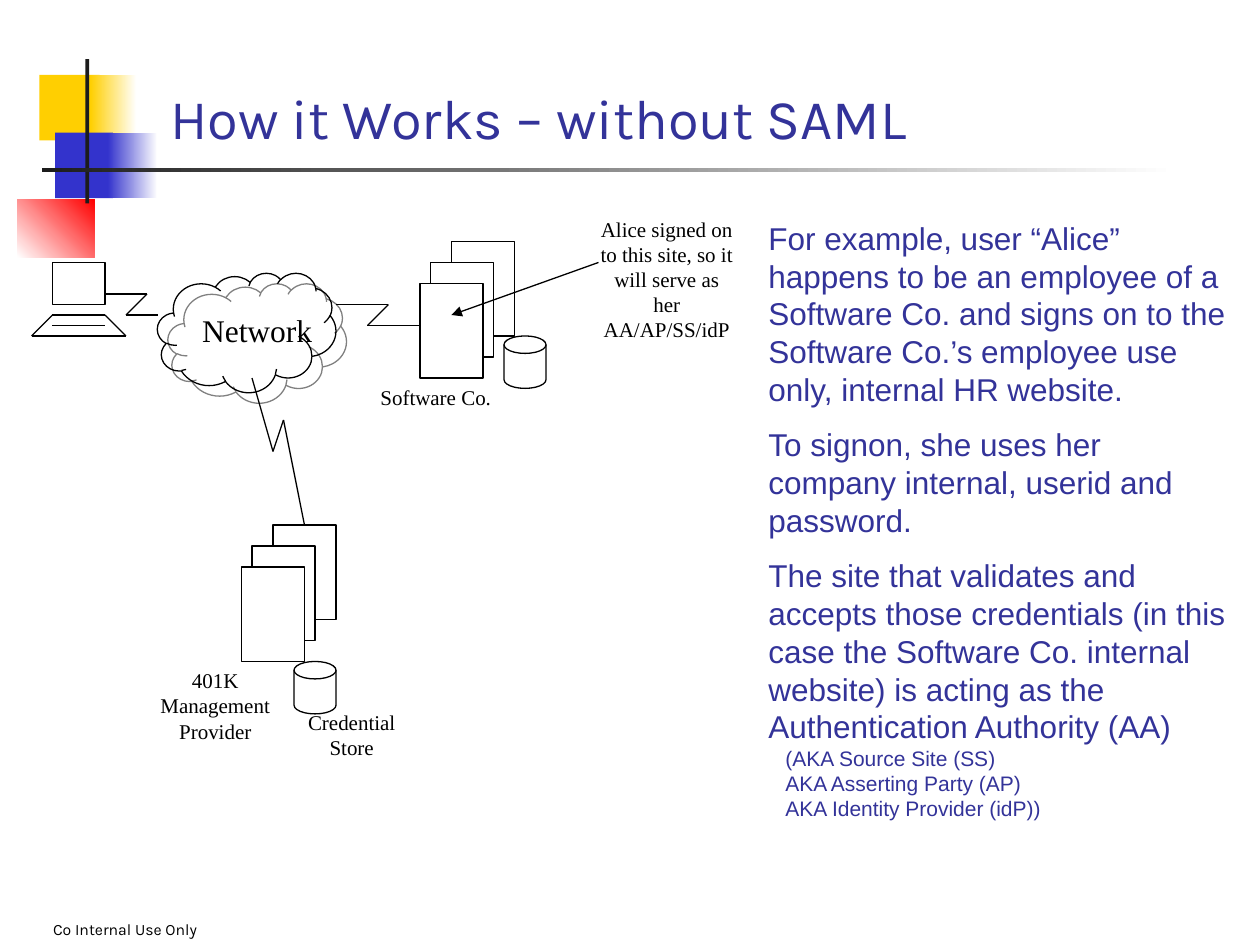
from itertools import pairwise

from lxml.etree import SubElement
from pptx import Presentation
from pptx.dml.color import RGBColor
from pptx.enum.shapes import MSO_CONNECTOR, MSO_SHAPE as Preset
from pptx.enum.text import MSO_ANCHOR as Anchor, MSO_AUTO_SIZE, PP_ALIGN as Align
from pptx.oxml.ns import qn
from pptx.util import Emu, Pt

PX = 9525  # 96 px to the inch
BLACK, WHITE, NAVY, DARK = "000000", "FFFFFF", "333399", "1C1C1C"
YELLOW, BLUE, RED, GRAY = "FFCF01", "3333CC", "FF0000", "808080"
SERIF, SANS, DISPLAY = "Times New Roman", "Arial", "Karla"

TITLE = "How it Works – without SAML"
FOOTER = "Co Internal Use Only"
STORY = [
    "For example, user “Alice” happens to be an employee of a Software Co. "
    "and signs on to the Software Co.’s employee use only, internal HR website.",
    "To signon, she uses her company internal, userid and password.",
    "The site that validates and accepts those credentials (in this case the "
    "Software Co. internal website) is acting as the Authentication Authority (AA)",
]
ALIASES = [
    "(AKA Source Site (SS)",
    "AKA Asserting Party (AP)",
    "AKA Identity Provider (idP))",
]
# text, box, size
LABELS = [
    ("Software Co.", (272, 288, 120, 29), 12),
    ("401K Management Provider", (104, 504, 120, 67), 12),
    ("Network", (120, 232, 152, 38), 18),
    ("Credential\vStore", (216, 536, 104, 48), 12),
    ("Alice signed on to this site, so it will serve as her AA/AP/SS/idP",
     (448, 160, 120, 106), 12),
]
# box, colours from start to end, angle
DECORATION = [
    ((30, 57, 46, 50), [YELLOW], 0),
    ((69, 57, 35, 50), [YELLOW, WHITE], 0),
    ((42, 101, 44, 50), [BLUE], 0),
    ((82, 101, 38, 50), [BLUE, WHITE], 0),
    ((13, 152, 59, 44), [WHITE, RED], 45),
    ((65, 45, 3, 110), [DARK], 0),
    ((32, 128, 864, 3), [DARK, WHITE], 0),
]
SCREEN = (40, 200, 40, 32)
CLOUD = (120, 208, 136, 91)
KEYBOARD = [
    [(40, 240), (24, 256), (96, 256), (80, 240), (40, 240)],
    [(40, 248), (80, 248)],
]
NETWORK_LINKS = [
    [(80, 224), (112, 224), (96, 240), (120, 240)],
    [(256, 232), (296, 232), (280, 248), (320, 248)],
    [(192, 288), (208, 344), (216, 320), (232, 400)],
]
SIGN_ON = [(456, 200), (344, 240)]
# front page corner, disk corner
SITES = [((320, 216), (384, 256)), ((184, 432), (224, 504))]
PAGE_OFFSETS = [(24, -32), (8, -16), (0, 0)]
PAGE_SIZE, DISK_SIZE = (48, 72), (32, 40)


def rgb(color):
    return RGBColor.from_string(color)


def emu(lengths):
    return [Emu(length * PX) for length in lengths]


def add_preset(slide, preset, box, colors=(), angle=0, outline=None):
    """Draw a preset shape; two colours make a gradient, none leaves it open."""
    shape = slide.shapes.add_shape(preset, *emu(box))
    shape.shadow.inherit = False
    if len(colors) == 2:
        shape.fill.gradient()
        shape.fill.gradient_angle = angle
        for stop, color in zip(shape.fill.gradient_stops, colors):
            stop.color.rgb = rgb(color)
    elif colors:
        shape.fill.solid()
        shape.fill.fore_color.rgb = rgb(colors[0])
    else:
        shape.fill.background()
    if outline:
        shape.line.color.rgb = rgb(outline)
        shape.line.width = Pt(0.75)
    else:
        shape.line.fill.background()
    return shape


def add_path(slide, points, arrow=False):
    """Join the points with straight connectors."""
    for start, end in pairwise(points):
        segment = slide.shapes.add_connector(
            MSO_CONNECTOR.STRAIGHT, *emu(start + end))
        segment.line.color.rgb = rgb(BLACK)
        segment.line.width = Pt(0.75)
        if arrow:
            SubElement(segment.line._get_or_add_ln(), qn("a:tailEnd"), type="triangle")
        SubElement(segment._element.spPr, qn("a:effectLst"))


def style(paragraph, font, size, color, align=Align.LEFT):
    paragraph.alignment = align
    paragraph.font.name = font
    paragraph.font.size = Pt(size)
    paragraph.font.color.rgb = rgb(color)


def add_box(slide, box, anchor=Anchor.TOP):
    frame = slide.shapes.add_textbox(*emu(box)).text_frame
    frame.word_wrap = True
    frame.vertical_anchor = anchor
    return frame


def add_title(slide):
    title = slide.shapes.title
    title.left, title.top, title.width, title.height = emu((120, 80, 672, 40))
    frame = title.text_frame
    frame.text = TITLE
    frame.word_wrap = True
    frame.auto_size = MSO_AUTO_SIZE.NONE
    frame.vertical_anchor = Anchor.BOTTOM
    style(frame.paragraphs[0], DISPLAY, 32, NAVY)


def add_cloud(slide):
    cloud = add_preset(slide, Preset.CLOUD, CLOUD, outline=BLACK)
    effects = cloud._element.spPr.find(qn("a:effectLst"))
    shadow = SubElement(effects, qn("a:outerShdw"), blurRad="0",
                        dist=str(Pt(8.5)), dir="2700000", algn="ctr", rotWithShape="0")
    SubElement(shadow, qn("a:srgbClr"), val=GRAY)


def add_site(slide, front, disk):
    for dx, dy in PAGE_OFFSETS:
        page = (front[0] + dx, front[1] + dy) + PAGE_SIZE
        add_preset(slide, Preset.RECTANGLE, page, [WHITE], outline=BLACK)
    add_preset(slide, Preset.FLOWCHART_MAGNETIC_DISK, disk + DISK_SIZE, outline=BLACK)


def add_story(slide):
    frame = add_box(slide, (576, 192, 368, 408), Anchor.MIDDLE)
    frame.text = "\n".join(STORY + ALIASES)
    for i, paragraph in enumerate(frame.paragraphs):
        if i < len(STORY):
            style(paragraph, SANS, 18, NAVY)
            if i:
                paragraph.space_before = Pt(10)
        else:
            style(paragraph, SANS, 12, NAVY)
            paragraph._p.get_or_add_pPr().set("marL", str(13 * PX))


def main():
    prs = Presentation()
    prs.slide_width, prs.slide_height = emu((960, 720))
    slide = prs.slides.add_slide(prs.slide_layouts[5])

    for box, colors, angle in DECORATION:
        add_preset(slide, Preset.RECTANGLE, box, colors, angle)
    add_title(slide)
    add_story(slide)

    add_preset(slide, Preset.RECTANGLE, SCREEN, outline=BLACK)
    add_cloud(slide)
    for points in KEYBOARD + NETWORK_LINKS:
        add_path(slide, points)
    for front, disk in SITES:
        add_site(slide, front, disk)

    for text, box, size in LABELS:
        label = add_box(slide, box)
        label.text = text
        style(label.paragraphs[0], SERIF, size, BLACK, Align.CENTER)
    add_path(slide, SIGN_ON, arrow=True)

    footer = add_box(slide, (31, 672, 273, 48), Anchor.BOTTOM)
    footer.text = FOOTER
    style(footer.paragraphs[0], DISPLAY, 9, BLACK)
    prs.save("out.pptx")


if __name__ == "__main__":
    main()
